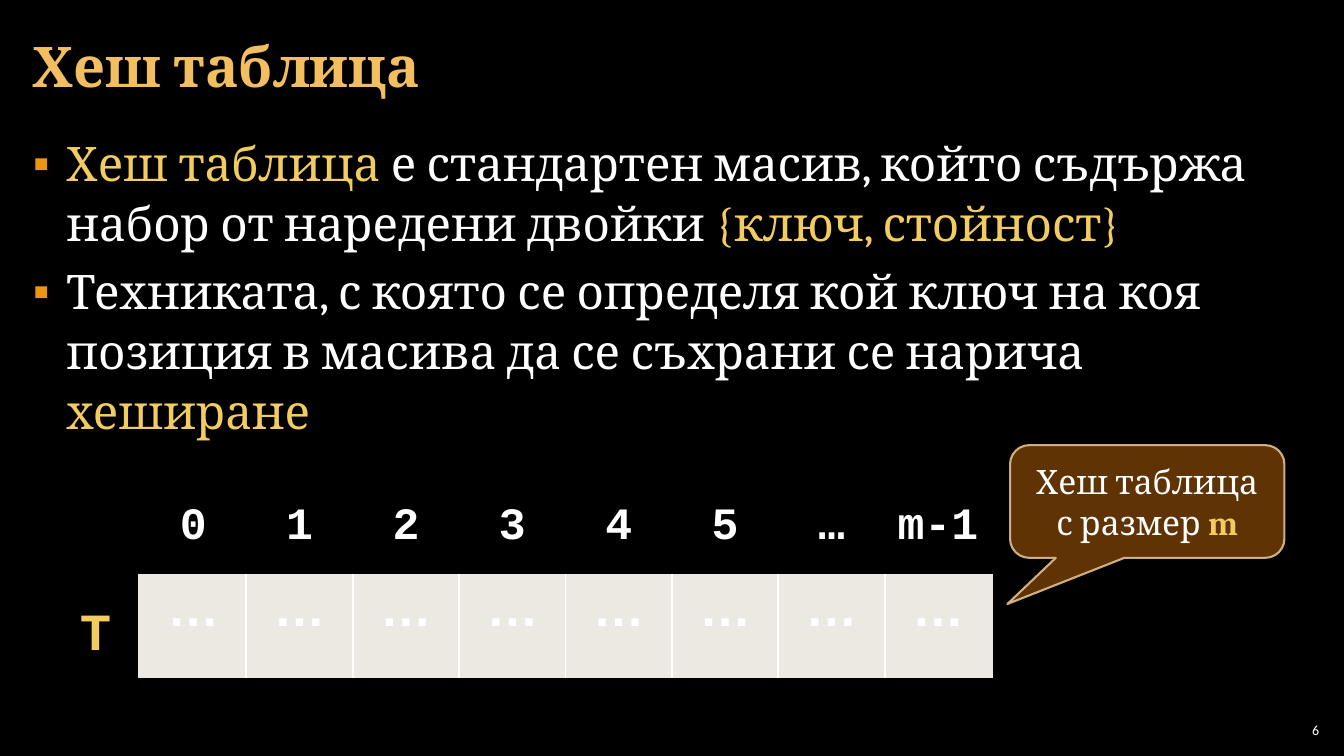
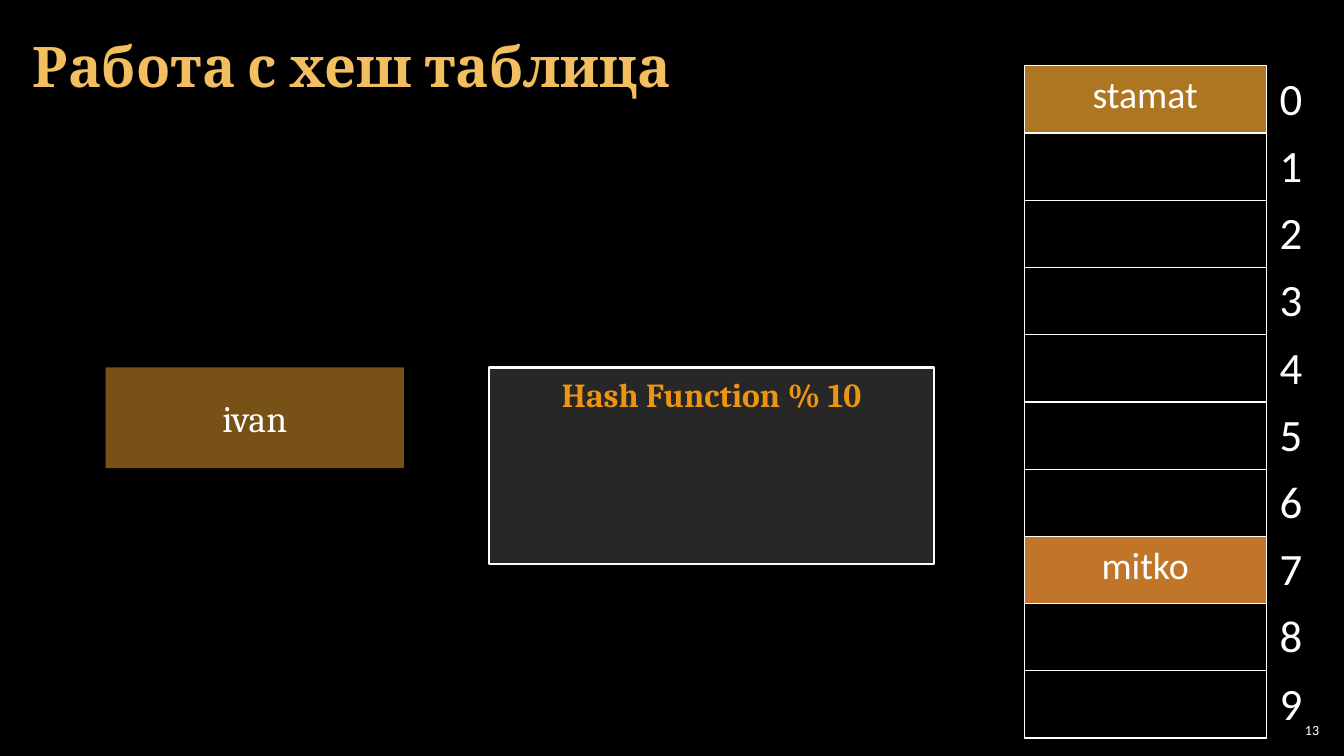
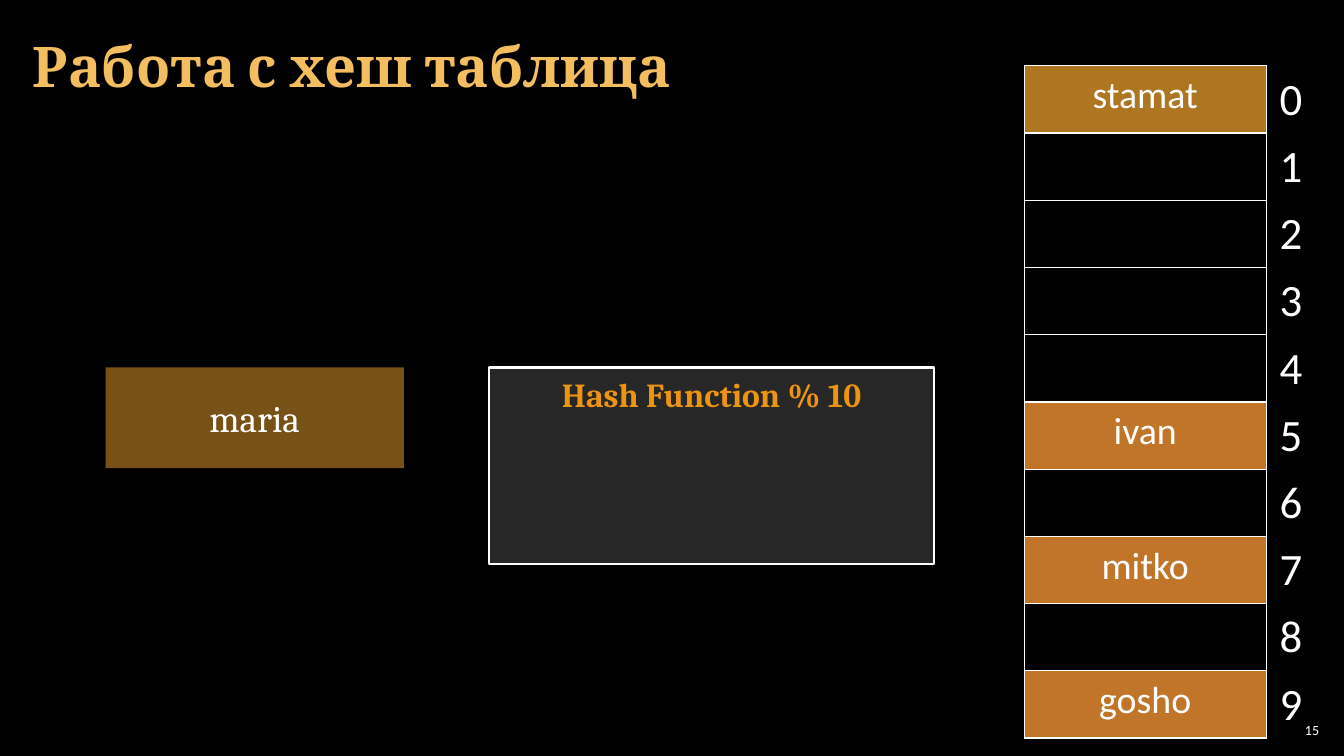
from dataclasses import dataclass, replace

from lxml.etree import SubElement
from pptx import Presentation
from pptx.dml.color import RGBColor
from pptx.enum.shapes import MSO_SHAPE
from pptx.enum.text import MSO_ANCHOR, PP_ALIGN
from pptx.oxml.ns import qn
from pptx.util import Pt


@dataclass(frozen=True)
class Type:
    size: float
    font: str
    color: str
    bold: bool = False


class Theme:
    BLACK = "000000"
    WHITE = "FFFFFF"
    GOLD = "F3CC5F"
    ORANGE = "ED9411"
    SILVER = "ECE9E2"
    BROWN = "663606"
    SAND = "F8D49E"
    AMBER = "F0A22E"
    PANEL = "272727"
    FIRST_SLOT = "AF7621"
    FILLED_SLOT = "C17529"

    TITLE = Type(40, "Cambria", "F3BE60", True)
    BODY = Type(34, "Cambria", WHITE)
    BODY_KEY = replace(BODY, color=GOLD)
    CALLOUT = Type(24, "Cambria", WHITE)
    CALLOUT_KEY = replace(CALLOUT, color=GOLD, bold=True)
    FUNCTION = Type(24, "Cambria", ORANGE, True)
    KEY = Type(26.7, "Cambria", WHITE)
    CELL = Type(37, "Arial", WHITE, True)
    INDEX = Type(32, "Courier New", WHITE, True)
    ARRAY_NAME = Type(37.3, "Courier New", GOLD, True)
    SLOT = Type(27, "Calibri", WHITE)
    SLOT_INDEX = Type(32, "Calibri", WHITE)
    NUMBER = Type(10, "Calibri", WHITE)

    TEXT_INSET = (8.5, 2.8)
    SHAPE_INSET = (9.6, 4.8)
    NUMBER_INSET = (2.8, 2.8)
    CELL_INSET = (13, 5)
    INDEX_INSET = (5, 3.6)
    NO_STYLE = "{2D5ABB26-0587-4C30-8999-92F81FD0307C}"


T = Theme


class Deck:
    def __init__(self):
        self.prs = Presentation()
        self.prs.slide_width, self.prs.slide_height = Pt(960), Pt(540)
        self.paint(self.prs.slide_master.background.fill, T.BLACK)
        self.s = None

    def slide(self, title, number):
        self.s = self.prs.slides.add_slide(self.prs.slide_layouts[6])
        self.text((15, 3, 930, 87), [(title, T.TITLE)], T.TEXT_INSET, MSO_ANCHOR.MIDDLE)
        self.text((911, 514, 34, 15), [(str(number), T.NUMBER)], T.NUMBER_INSET,
                  MSO_ANCHOR.MIDDLE, PP_ALIGN.RIGHT)

    def paint(self, fill, color, alpha=100):
        fill.solid()
        fill.fore_color.rgb = RGBColor.from_string(color)
        if alpha < 100:
            clr = next(fill._xPr.iter(qn("a:srgbClr")))
            SubElement(clr, qn("a:alpha"), val=str(alpha * 1000))

    def runs(self, p, runs, align=PP_ALIGN.LEFT):
        p.alignment = align
        for text, style in runs:
            r = p.add_run()
            r.text = text
            r.font.size = Pt(style.size)
            r.font.name = style.font
            r.font.bold = style.bold
            r.font.color.rgb = RGBColor.from_string(style.color)

    def frame(self, sp, inset, anchor):
        tf = sp.text_frame
        tf.word_wrap = True
        tf.vertical_anchor = anchor
        tf.margin_left = tf.margin_right = Pt(inset[0])
        tf.margin_top = tf.margin_bottom = Pt(inset[1])
        return tf

    def text(self, box, runs, inset, anchor=MSO_ANCHOR.TOP, align=PP_ALIGN.LEFT):
        sp = self.s.shapes.add_textbox(*map(Pt, box))
        self.runs(self.frame(sp, inset, anchor).paragraphs[0], runs, align)

    def bullets(self, box, items):
        sp = self.s.shapes.add_textbox(*map(Pt, box))
        tf = self.frame(sp, T.TEXT_INSET, MSO_ANCHOR.TOP)
        for i, runs in enumerate(items):
            p = tf.add_paragraph() if i else tf.paragraphs[0]
            pPr = p._p.get_or_add_pPr()
            pPr.set("marL", str(Pt(24)))
            pPr.set("indent", str(-Pt(24)))
            clr = SubElement(pPr, qn("a:buClr"))
            SubElement(clr, qn("a:srgbClr"), val=T.ORANGE)
            SubElement(pPr, qn("a:buFont"), typeface="Arial")
            SubElement(pPr, qn("a:buChar"), char="▪")
            p.line_spacing = 1.05
            p.space_after = Pt(6)
            self.runs(p, runs)

    def shape(self, kind, box, runs, fill, alpha=100, line=None, line_alpha=100,
              anchor=MSO_ANCHOR.MIDDLE):
        sp = self.s.shapes.add_shape(kind, *map(Pt, box))
        sp.shadow.inherit = False
        self.paint(sp.fill, fill, alpha)
        if line:
            self.paint(sp.line.fill, line, line_alpha)
            sp.line.width = Pt(1.5)
        else:
            sp.line.fill.background()
        tf = self.frame(sp, T.SHAPE_INSET, anchor)
        self.runs(tf.paragraphs[0], runs, PP_ALIGN.CENTER)
        return sp

    def table(self, left, top, widths, heights):
        box = (left, top, sum(widths), sum(heights))
        frame = self.s.shapes.add_table(len(heights), len(widths), *map(Pt, box))
        tbl = frame.table
        tbl.first_row = tbl.horz_banding = False
        tbl._tbl.tblPr.find(qn("a:tableStyleId")).text = T.NO_STYLE
        for col, width in zip(tbl.columns, widths):
            col.width = Pt(width)
        for row, height in zip(tbl.rows, heights):
            row.height = Pt(height)
        return tbl

    def cell(self, cell, text, style, inset, align=PP_ALIGN.CENTER, spacing=None,
             borders=None, fill=None, alpha=100):
        tcPr = cell._tc.get_or_add_tcPr()
        for side in "LRTB":
            if borders and side in borders:
                color, width = borders[side]
                ln = SubElement(tcPr, qn(f"a:ln{side}"), w=str(Pt(width)))
                solid = SubElement(ln, qn("a:solidFill"))
                SubElement(solid, qn("a:srgbClr"), val=color)
        if fill:
            self.paint(cell.fill, fill, alpha)
        else:
            cell.fill.background()
        cell.margin_left = cell.margin_right = Pt(inset[0])
        cell.margin_top = cell.margin_bottom = Pt(inset[1])
        if text:
            p = cell.text_frame.paragraphs[0]
            if spacing:
                p.line_spacing = spacing
            self.runs(p, [(text, style)], align)

    def array(self, labels):
        widths = [76] * len(labels)
        cells = self.table(100, 411, widths, [72])
        indexes = self.table(100, 355, widths, [44])
        edge, inner = (T.SILVER, 3), (T.WHITE, 1.5)
        last = len(labels) - 1
        for i, label in enumerate(labels):
            borders = {"L": inner if i else edge, "R": inner if i < last else edge,
                       "T": edge, "B": edge}
            self.cell(cells.cell(0, i), "…", T.CELL, T.CELL_INSET, spacing=0.95,
                      borders=borders, fill=T.SILVER, alpha=20)
            self.cell(indexes.cell(0, i), label, T.INDEX, T.INDEX_INSET, spacing=0.95)

    def slots(self, names):
        tbl = self.table(731.5, 47, [173, 40], [48] * 10)
        line = (T.WHITE, 1)
        for i in range(10):
            name = names.get(i)
            fill = (T.FILLED_SLOT if i else T.FIRST_SLOT) if name else None
            self.cell(tbl.cell(i, 0), name, T.SLOT, T.SHAPE_INSET,
                      borders=dict.fromkeys("LRTB", line), fill=fill)
            self.cell(tbl.cell(i, 1), str(i), T.SLOT_INDEX, T.SHAPE_INSET,
                      PP_ALIGN.LEFT, borders={"L": line})

    def hashing(self, number, key, names):
        self.slide("Работа с хеш таблица", number)
        self.slots(names)
        self.shape(MSO_SHAPE.FLOWCHART_PROCESS, (75.5, 262.5, 213, 72),
                   [(key, T.KEY)], T.AMBER, 50)
        self.shape(MSO_SHAPE.RECTANGLE, (349, 262.5, 318.5, 140.5),
                   [("Hash Function % 10", T.FUNCTION)], T.PANEL, line=T.WHITE,
                   anchor=MSO_ANCHOR.TOP)


def main():
    deck = Deck()

    deck.slide("Хеш таблица", 6)
    deck.bullets((15, 91, 930, 438), [
        [("Хеш таблица", T.BODY_KEY),
         (" е стандартен масив, който съдържа набор от наредени двойки ", T.BODY),
         ("{ключ, стойност}", T.BODY_KEY)],
        [("Техниката, с която се определя кой ключ на коя позиция в масива "
          "да се съхрани се нарича ", T.BODY),
         ("хеширане", T.BODY_KEY)],
    ])
    deck.array(["0", "1", "2", "3", "4", "5", "…", "m-1"])
    deck.text((47.5, 422.5, 40, 55), [("T", T.ARRAY_NAME)], T.SHAPE_INSET,
              align=PP_ALIGN.CENTER)
    callout = deck.shape(MSO_SHAPE.ROUNDED_RECTANGULAR_CALLOUT, (721.5, 318, 196, 80.5),
                         [("Хеш таблица с размер ", T.CALLOUT), ("m", T.CALLOUT_KEY)],
                         T.BROWN, 95, T.SAND, 80)
    for i, value in enumerate((-0.51, 0.91, 0.17)):
        callout.adjustments[i] = value

    deck.hashing(13, "ivan", {0: "stamat", 7: "mitko"})
    deck.hashing(15, "maria", {0: "stamat", 5: "ivan", 7: "mitko", 9: "gosho"})

    deck.prs.save("out.pptx")


if __name__ == "__main__":
    main()
